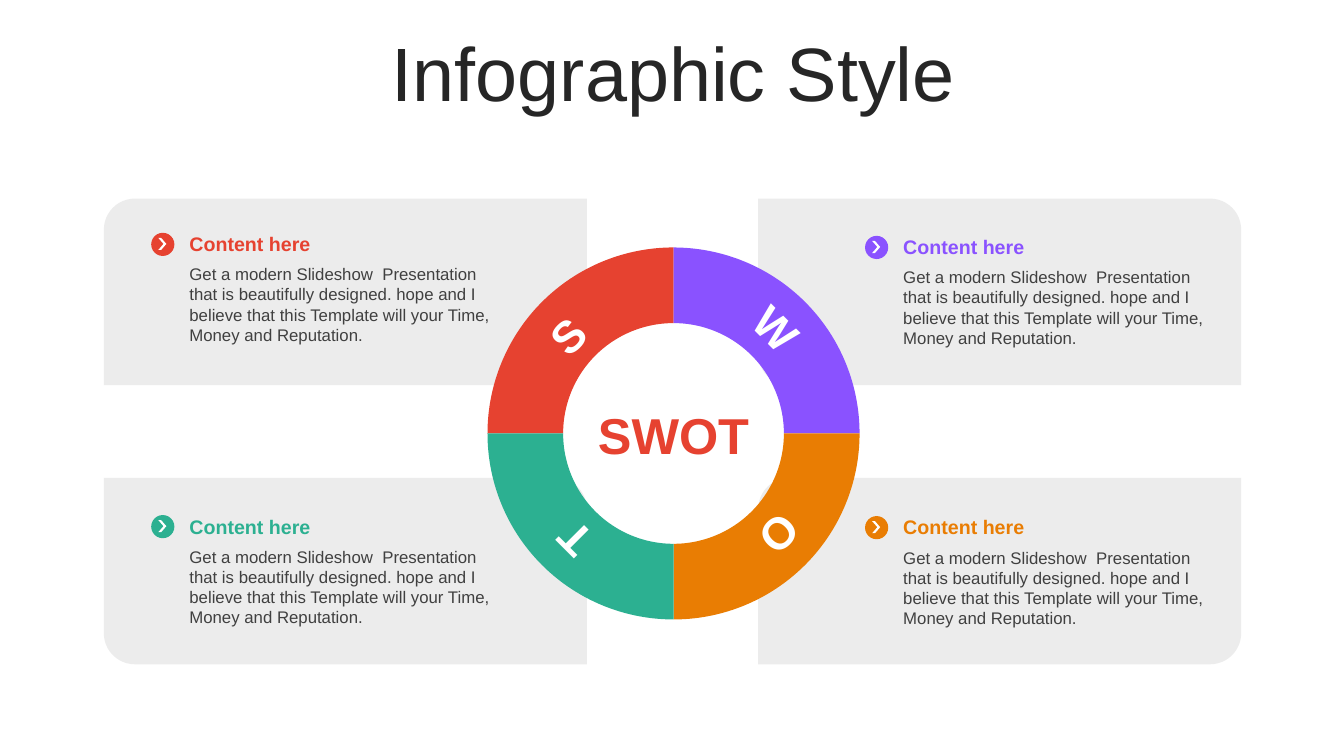
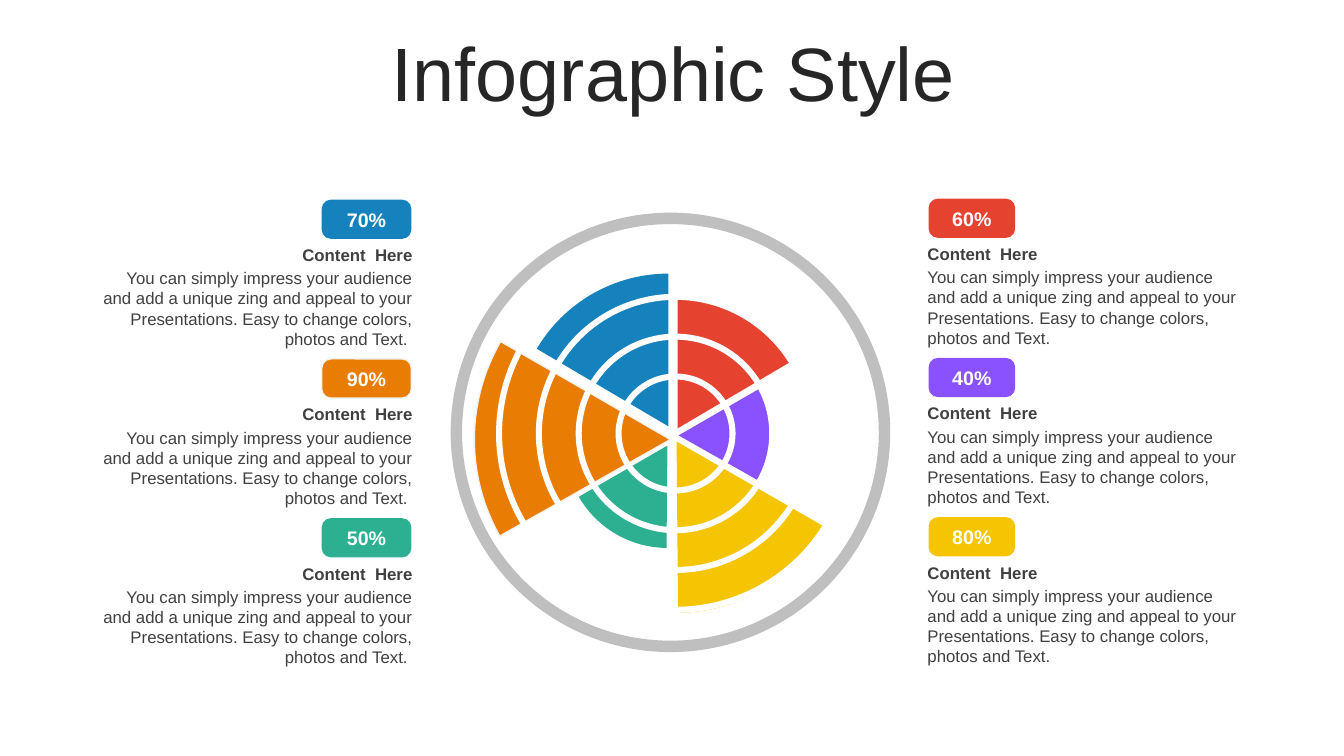
from pptx import Presentation
from pptx.dml.color import RGBColor
from pptx.enum.shapes import MSO_SHAPE as SHAPE
from pptx.enum.text import MSO_ANCHOR as ANCHOR, PP_ALIGN as ALIGN
from pptx.util import Inches, Pt

# Shared style
FONT = "Arial"
WHITE, PALE, CARD, GRAY = "FFFFFF", "F2F2F2", "ECECEC", "BFBFBF"
TITLE_INK, INK = "262626", "404040"
RED, PURPLE, ORANGE = "E64230", "8A52FF", "E97D03"
TEAL, BLUE, YELLOW = "2CB091", "1581BD", "F5C402"
TITLE = "Infographic Style"

SWOT_TEXT = ("Get a modern Slideshow  Presentation that is beautifully designed. "
             "hope and I believe that this Template will your Time, "
             "Money and Reputation.")
SHARE_TEXT = ("You can simply impress your audience and add a unique zing and "
              "appeal to your Presentations. Easy to change colors, "
              "photos and Text.")


def color(value):
    return RGBColor.from_string(value)


def angle(degrees):
    """Adjustment value of a preset shape for an angle in degrees."""
    return degrees * 0.6


def write_text(shape, text, size=12, ink=INK, bold=False, align=ALIGN.LEFT,
               anchor=ANCHOR.TOP, spacing=None, margin=None):
    frame = shape.text_frame
    frame.word_wrap = True
    frame.vertical_anchor = anchor
    if margin is not None:
        frame.margin_left = frame.margin_right = Inches(margin)
        frame.margin_top = frame.margin_bottom = Inches(margin)
    paragraph = frame.paragraphs[0]
    paragraph.alignment = align
    if spacing:
        paragraph.line_spacing = spacing
    run = paragraph.add_run()
    run.text = text
    run.font.name = FONT
    run.font.size = Pt(size)
    run.font.bold = bold
    run.font.color.rgb = color(ink)


def add_text(slide, box, text, rotation=0, **style):
    shape = slide.shapes.add_textbox(*map(Inches, box))
    shape.rotation = rotation
    write_text(shape, text, **style)


def add_shape(slide, kind, box, fill, adjust=(), rotation=0, outline=None):
    shape = slide.shapes.add_shape(kind, *map(Inches, box))
    shape.shadow.inherit = False
    shape.fill.solid()
    shape.fill.fore_color.rgb = color(fill)
    if outline:
        shape.line.color.rgb = color(outline)
        shape.line.width = Pt(1)
    else:
        shape.line.fill.background()
    for index, value in enumerate(adjust):
        shape.adjustments[index] = value
    shape.rotation = rotation
    return shape


def add_round(slide, kind, center, diameter, fill, **style):
    """Add a shape whose frame is a square around the center."""
    x, y = center
    box = (x - diameter / 2, y - diameter / 2, diameter, diameter)
    return add_shape(slide, kind, box, fill, **style)


def add_titled_slide(presentation):
    slide = presentation.slides.add_slide(presentation.slide_layouts[6])
    add_text(slide, (0.35, 0.37, 12.66, 0.79), TITLE, size=54, ink=TITLE_INK,
             align=ALIGN.CENTER, anchor=ANCHOR.MIDDLE, spacing=0.9)
    return slide


# SWOT slide
def add_swot_note(slide, x, y, accent):
    add_shape(slide, SHAPE.OVAL, (x, y, 0.23, 0.23), accent)
    add_shape(slide, SHAPE.CHEVRON, (x + 0.07, y + 0.05, 0.08, 0.12), WHITE,
              adjust=[0.65])
    add_text(slide, (x + 0.28, y - 0.06, 3.25, 0.34), "Content here", size=14,
             ink=accent, bold=True, anchor=ANCHOR.MIDDLE)
    add_text(slide, (x + 0.28, y + 0.26, 3.25, 0.91), SWOT_TEXT)


def build_swot(presentation):
    slide = add_titled_slide(presentation)
    center, diameter, thickness = (6.68, 4.3), 3.69, 0.75

    # Cards, rounded at the outer corners
    falling, rising = (0.167, 0), (0, 0.167)
    for x, y, corners in ((1.03, 1.97, falling), (7.52, 1.97, rising),
                          (1.03, 4.74, rising), (7.52, 4.74, falling)):
        add_shape(slide, SHAPE.ROUND_2_DIAG_RECTANGLE, (x, y, 4.79, 1.85),
                  CARD, adjust=corners)

    # Ring quarters clockwise from the left, with letter centers
    quarters = (("S", RED, 5.62, 3.33), ("W", PURPLE, 7.7, 3.25),
                ("O", ORANGE, 7.74, 5.31), ("T", TEAL, 5.69, 5.36))
    for index, (letter, accent, x, y) in enumerate(quarters):
        start = (180 + 90 * index) % 360
        add_round(slide, SHAPE.BLOCK_ARC, center, diameter, accent,
                  adjust=(angle(start), angle((start + 90) % 360),
                          thickness / diameter))
        add_text(slide, (x - 0.28, y - 0.32, 0.57, 0.64), letter,
                 rotation=(315 + 90 * index) % 360, size=32, ink=WHITE,
                 bold=True, align=ALIGN.CENTER, anchor=ANCHOR.MIDDLE, margin=0)
    add_text(slide, (5.62, 3.95, 2.12, 0.71), "SWOT", size=36, ink=RED,
             bold=True, align=ALIGN.CENTER, anchor=ANCHOR.MIDDLE)

    # Notes
    for x, y, accent in ((1.5, 2.31, RED), (8.58, 2.34, PURPLE),
                         (1.5, 5.11, TEAL), (8.58, 5.12, ORANGE)):
        add_swot_note(slide, x, y, accent)


# Shares slide
def add_share_column(slide, shares, top, badge_x, badge_width, text_x, align,
                     ending=""):
    for row, (share, accent, outline) in enumerate(shares):
        y = top + 1.58 * row
        badge = add_shape(slide, SHAPE.ROUNDED_RECTANGLE,
                          (badge_x, y, badge_width, 0.39), accent,
                          adjust=[0.24], outline=outline)
        write_text(badge, share, size=14, ink=WHITE, bold=True,
                   align=ALIGN.CENTER, anchor=ANCHOR.MIDDLE)
        add_text(slide, (text_x, y + 0.4, 3.31, 0.3), "Content  Here",
                 bold=True, align=align)
        add_text(slide, (text_x, y + 0.63, 3.31, 0.91), SHARE_TEXT + ending,
                 align=align)


def build_shares(presentation):
    slide = add_titled_slide(presentation)
    add_round(slide, SHAPE.DONUT, (6.65, 4.29), 4.36, GRAY, adjust=[0.026])

    # Sectors: one to the left and one to the right of twelve o'clock, turned
    left_sector = (angle(210.5), angle(270))
    right_sector = (angle(270), angle(329.5))
    sectors = (((6.63, 4.23), 3.03, BLUE, left_sector, 0, None),
               ((6.65, 4.36), 3.89, ORANGE, left_sector, 300, PALE),
               ((6.62, 4.42), 2.03, TEAL, left_sector, 240, None),
               ((6.72, 4.25), 2.65, RED, right_sector, 0, None),
               ((6.73, 4.32), 1.9, PURPLE, right_sector, 60, None),
               ((6.71, 4.38), 3.4, YELLOW, right_sector, 120, None))
    for center, diameter, accent, sector, rotation, outline in sectors:
        add_round(slide, SHAPE.PIE, center, diameter, accent, adjust=sector,
                  rotation=rotation, outline=outline)

    # White rings over the sectors
    for index in range(4):
        diameter = 1.19 + 0.79 * index
        add_round(slide, SHAPE.DONUT, (6.7, 4.3), diameter, WHITE,
                  adjust=[0.06 / diameter])

    # Text columns
    add_share_column(slide, (("70%", BLUE, None), ("90%", ORANGE, PALE),
                             ("50%", TEAL, None)),
                     1.98, 3.19, 0.89, 0.88, ALIGN.RIGHT, ending=" ")
    add_share_column(slide, (("60%", RED, None), ("40%", PURPLE, None),
                             ("80%", YELLOW, None)),
                     1.97, 9.21, 0.86, 9.1, ALIGN.LEFT)


def main():
    presentation = Presentation()
    presentation.slide_width = Inches(13.33)
    presentation.slide_height = Inches(7.5)
    build_swot(presentation)
    build_shares(presentation)
    presentation.save("out.pptx")


if __name__ == "__main__":
    main()
